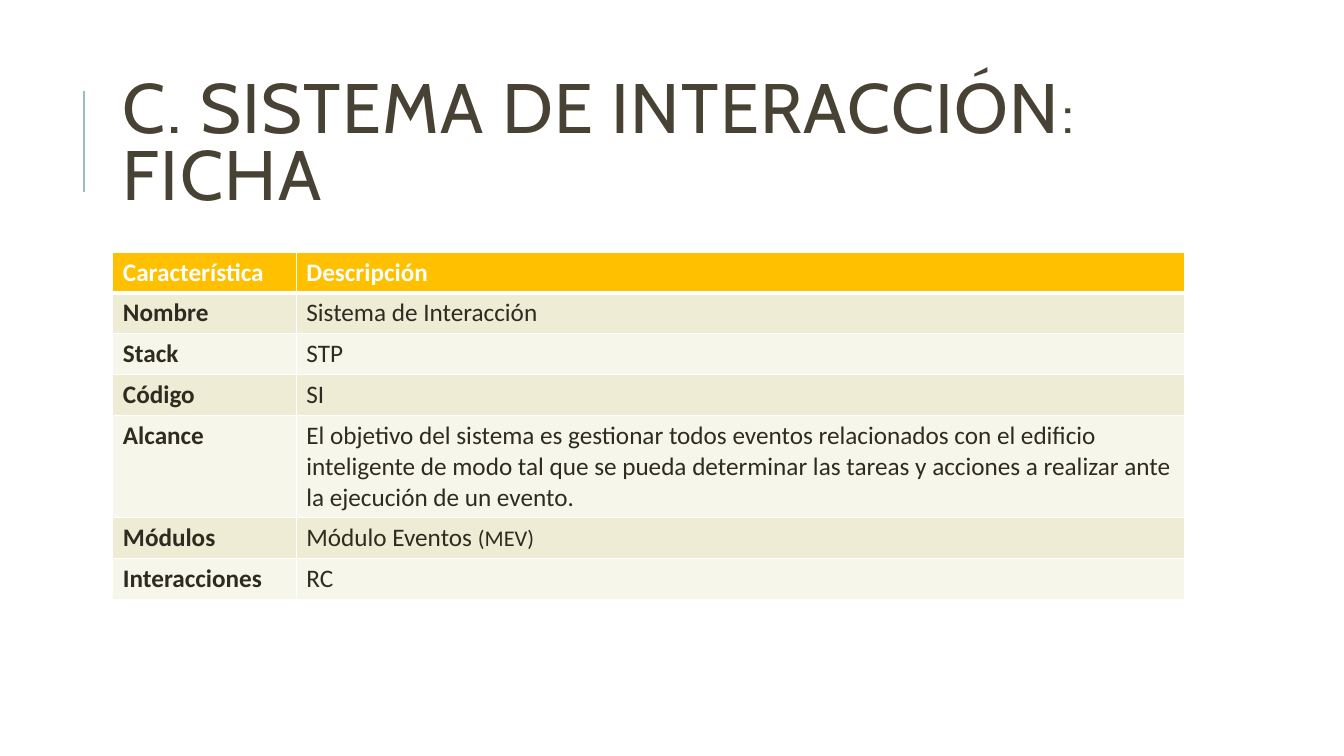
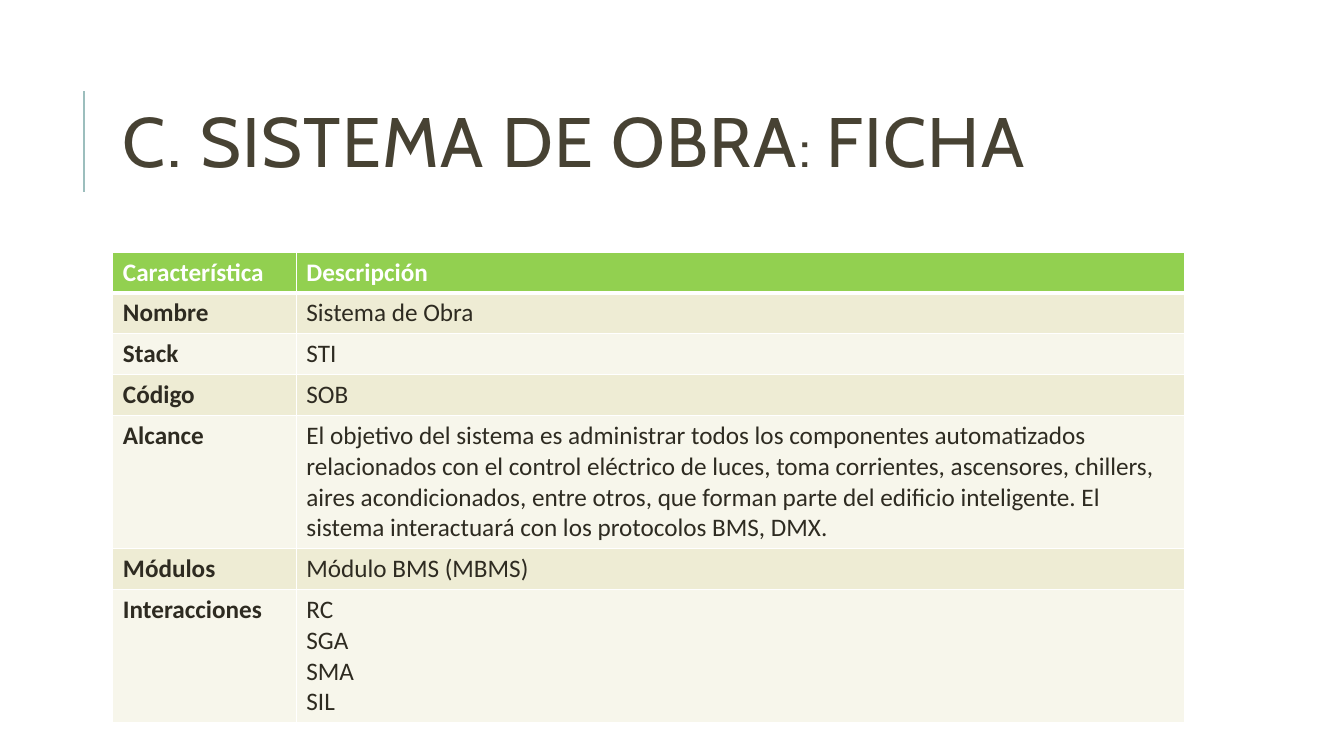
from pptx import Presentation
from pptx.dml.color import RGBColor
from pptx.enum.text import MSO_ANCHOR, MSO_AUTO_SIZE, PP_ALIGN
from pptx.oxml.ns import qn
from pptx.util import Pt
from lxml.etree import SubElement

COLORS = {
    "title": "474233",
    "accent": "9CBEBD",
    "text": "2E2B21",
    "white": "FFFFFF",
    "band_dark": "EEECD4",
    "band_light": "F7F6EB",
    "amber": "FFC000",
    "green": "92D050",
}
LEFT, WIDTH = 80.64, 765.36
COLUMN_WIDTHS = (131.04, 634.32)
ROW_HEIGHT = 29.2
TEXT_SIZE = 18
LABELS = ("Característica", "Nombre", "Stack", "Código", "Alcance", "Módulos", "Interacciones")

# Each description is a list of paragraphs, each paragraph a list of (text, size) runs
SHEETS = [
    {
        "title": "C. SISTEMA DE INTERACCIÓN",
        "header": "amber",
        "descriptions": [
            [[("Sistema de Interacción", TEXT_SIZE)]],
            [[("STP", TEXT_SIZE)]],
            [[("SI", TEXT_SIZE)]],
            [[("El objetivo del sistema es gestionar todos eventos relacionados con el "
               "edificio inteligente de modo tal que se pueda determinar las tareas y "
               "acciones a realizar ante la ejecución de un evento.", TEXT_SIZE)]],
            [[("Módulo Eventos ", TEXT_SIZE), ("(MEV)", 16)]],
            [[("RC", TEXT_SIZE)]],
        ],
    },
    {
        "title": "C. SISTEMA DE OBRA",
        "header": "green",
        "descriptions": [
            [[("Sistema de Obra", TEXT_SIZE)]],
            [[("STI", TEXT_SIZE)]],
            [[("SOB", TEXT_SIZE)]],
            [[("El objetivo del sistema es administrar todos los componentes automatizados "
               "relacionados con el control eléctrico de luces, toma corrientes, ascensores, "
               "chillers, aires acondicionados, entre otros, que forman parte del edificio "
               "inteligente. El sistema interactuará con los protocolos BMS, DMX.", TEXT_SIZE)]],
            [[("Módulo BMS (MBMS)", TEXT_SIZE)]],
            [[(code, TEXT_SIZE)] for code in ("RC", "SGA", "SMA", "SIL")],
        ],
    },
]


def write_paragraph(paragraph, runs, font_name, color, bold=False):
    paragraph.alignment = PP_ALIGN.LEFT
    paragraph.font.name = font_name
    paragraph.font.bold = bold
    paragraph.font.color.rgb = RGBColor.from_string(COLORS[color])
    for text, size in runs:
        run = paragraph.add_run()
        run.text = text
        run.font.size = Pt(size)


def format_cell(cell, fill, bottom_width):
    properties = cell._tc.get_or_add_tcPr()
    for side, width in (("lnL", 1), ("lnR", 1), ("lnT", 1), ("lnB", bottom_width)):
        border = SubElement(properties, qn(f"a:{side}"), w=str(Pt(width)))
        SubElement(SubElement(border, qn("a:solidFill")), qn("a:srgbClr"), val=COLORS["white"])
    cell.fill.solid()
    cell.fill.fore_color.rgb = RGBColor.from_string(COLORS[fill])


presentation = Presentation()
presentation.slide_width, presentation.slide_height = Pt(960), Pt(540)

# Shared title position, set on the layout
layout = presentation.slide_layouts[5]
layout_title = layout.placeholders[0]
layout_title.left, layout_title.top = Pt(LEFT), Pt(46)
layout_title.width, layout_title.height = Pt(WIDTH), Pt(118)

for sheet in SHEETS:
    slide = presentation.slides.add_slide(layout)

    # Accent line
    line = slide.shapes.add_connector(1, Pt(60), Pt(137), Pt(60), Pt(65))
    line.line.color.rgb = RGBColor.from_string(COLORS["accent"])
    line.line.width = Pt(1.5)
    SubElement(line._element.spPr, qn("a:effectLst"))

    # Title
    frame = slide.shapes.title.text_frame
    frame.auto_size = MSO_AUTO_SIZE.NONE
    frame.vertical_anchor = MSO_ANCHOR.MIDDLE
    paragraph = frame.paragraphs[0]
    paragraph.line_spacing = 0.8
    write_paragraph(paragraph, [(sheet["title"], 50), (": ", 40), ("FICHA", 50)], "Cabin", "title")
    for run in paragraph.runs:
        run.font._element.set("spc", "100")

    # Table
    descriptions = [[[("Descripción", TEXT_SIZE)]]] + sheet["descriptions"]
    table = slide.shapes.add_table(len(LABELS), 2, Pt(LEFT), Pt(180), Pt(WIDTH),
                                   Pt(ROW_HEIGHT * len(LABELS))).table
    for column, width in zip(table.columns, COLUMN_WIDTHS):
        column.width = Pt(width)

    for row, (label, description) in enumerate(zip(LABELS, descriptions)):
        is_header = row == 0
        fill = sheet["header"] if is_header else ("band_light", "band_dark")[row % 2]
        for column, paragraphs in enumerate(([[(label, TEXT_SIZE)]], description)):
            cell = table.cell(row, column)
            format_cell(cell, fill, 3 if is_header else 1)
            for index, runs in enumerate(paragraphs):
                frame = cell.text_frame
                paragraph = frame.add_paragraph() if index else frame.paragraphs[0]
                write_paragraph(paragraph, runs, "Calibri", "white" if is_header else "text",
                                bold=is_header or column == 0)

presentation.save("out.pptx")
